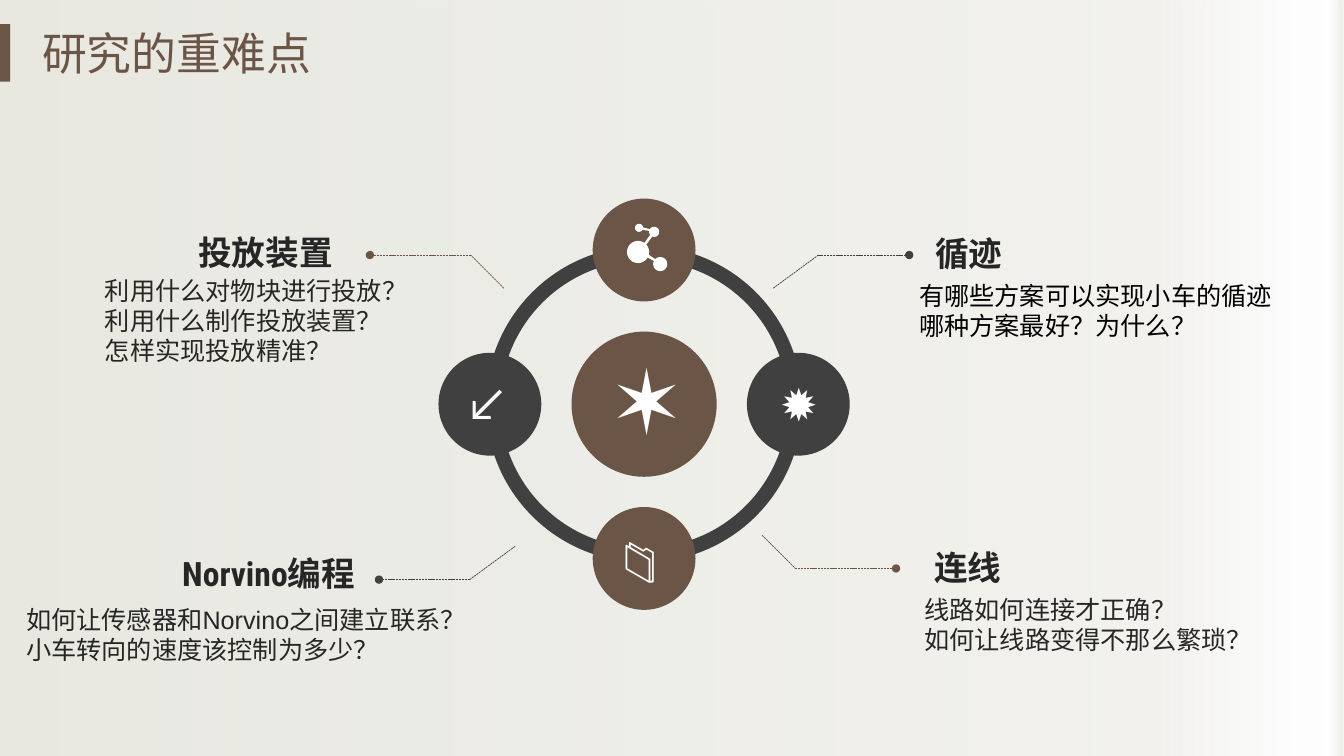
from dataclasses import dataclass
from math import cos, radians, sin

from lxml.etree import SubElement
from pptx import Presentation
from pptx.dml.color import RGBColor
from pptx.enum.dml import MSO_LINE
from pptx.enum.shapes import MSO_CONNECTOR, MSO_SHAPE
from pptx.enum.text import MSO_ANCHOR, MSO_AUTO_SIZE, PP_ALIGN
from pptx.oxml.ns import qn
from pptx.util import Pt

PX = 9144


@dataclass(frozen=True)
class Theme:
    brown: str = "6A5546"
    dark: str = "404040"
    ink: str = "262626"
    black: str = "000000"
    white: str = "FFFFFF"
    backdrop: tuple = ((0, "E7E7DF", 94), (86, "F0EFEB", 85), (99, "FFFFFF", 62), (100, "EBEBE5", 100))
    cjk: str = "Noto Sans CJK SC"
    heading_font: str = "Roboto Condensed"
    body_font: str = "Arial"
    icon_font: str = "Lato"
    title: int = 32
    heading: int = 24
    body: int = 18
    icon: int = 32
    big_icon: int = 64


class Board:
    def __init__(self, slide, theme):
        self.slide = slide
        self.theme = theme

    def paint(self, shape, colour):
        shape.shadow.inherit = False
        shape.line.fill.background()
        shape.fill.solid()
        shape.fill.fore_color.rgb = RGBColor.from_string(colour)

    def shape(self, kind, box, colour, adjustments=()):
        shape = self.slide.shapes.add_shape(kind, *(n * PX for n in box))
        self.paint(shape, colour)
        for index, value in enumerate(adjustments):
            shape.adjustments[index] = value
        return shape

    def backdrop(self, box):
        shape = self.shape(MSO_SHAPE.RECTANGLE, box, self.theme.white)
        shape.fill.gradient()
        shape.fill.gradient_angle = 0
        stops = shape.element.spPr.find(qn("a:gradFill")).find(qn("a:gsLst"))
        for stop in list(stops):
            stops.remove(stop)
        for position, colour, opacity in self.theme.backdrop:
            stop = SubElement(stops, qn("a:gs"), pos=str(position * 1000))
            tint = SubElement(stop, qn("a:srgbClr"), val=colour)
            SubElement(tint, qn("a:alpha"), val=str(opacity * 1000))

    def disc(self, centre, diameter, colour):
        x, y = centre
        box = (x - diameter // 2, y - diameter // 2, diameter, diameter)
        self.shape(MSO_SHAPE.OVAL, box, colour)

    def arc_outline(self, arcs, colour, steps=24):
        points = []
        for x, y, radius, start, end in arcs:
            for step in range(steps + 1):
                angle = radians(start + (end - start) * step / steps)
                points.append(((x + radius * cos(angle)) * PX, (y + radius * sin(angle)) * PX))
        builder = self.slide.shapes.build_freeform(*points[0])
        builder.add_line_segments(points[1:], close=True)
        self.paint(builder.convert_to_shape(), colour)

    def line(self, start, end, colour, dot=False):
        line = self.slide.shapes.add_connector(
            MSO_CONNECTOR.STRAIGHT, *(n * PX for n in (*start, *end)))
        line.line.color.rgb = RGBColor.from_string(colour)
        line.line.width = Pt(0.5)
        line.line.dash_style = MSO_LINE.SQUARE_DOT
        properties = line._element.spPr
        if dot:
            SubElement(properties.find(qn("a:ln")), qn("a:tailEnd"), type="oval")
        SubElement(properties, qn("a:effectLst"))

    def text(self, box, lines, font, size, colour, bold=False, align=PP_ALIGN.LEFT,
             anchor=MSO_ANCHOR.TOP, insets=(10, 5, 10, 5), wrap=True, cjk=True):
        frame = self.slide.shapes.add_textbox(*(n * PX for n in box)).text_frame
        frame.word_wrap = wrap
        frame.auto_size = MSO_AUTO_SIZE.NONE
        frame.vertical_anchor = anchor
        (frame.margin_left, frame.margin_top,
         frame.margin_right, frame.margin_bottom) = (n * PX for n in insets)
        for index, words in enumerate(lines):
            paragraph = frame.add_paragraph() if index else frame.paragraphs[0]
            paragraph.alignment = align
            run = paragraph.add_run()
            run.text = words
            run.font.name = font
            run.font.size = Pt(size)
            run.font.bold = bold
            run.font.color.rgb = RGBColor.from_string(colour)
            if cjk:
                SubElement(run.font._element, qn("a:ea"), typeface=self.theme.cjk)

    def icon(self, box, symbol, size):
        self.text(box, [symbol], self.theme.icon_font, size, self.theme.white, wrap=False, cjk=False)

    def heading(self, box, words, font, align):
        self.text(box, [words], font, self.theme.heading, self.theme.ink,
                  bold=True, align=align, anchor=MSO_ANCHOR.MIDDLE)

    def body(self, box, lines, **options):
        style = {"font": self.theme.body_font, "colour": self.theme.ink, **options}
        self.text(box, lines, size=self.theme.body, **style)


def main():
    deck = Presentation()
    deck.slide_width, deck.slide_height = 12192000, 750 * PX
    theme = Theme()
    board = Board(deck.slides.add_slide(deck.slide_layouts[6]), theme)

    board.backdrop((0, 0, 1333, 750))
    board.shape(MSO_SHAPE.RECTANGLE, (0, 24, 10, 57), theme.brown)

    for start, end in ((108, 162), (54, 108), (0, 54), (162, 0)):
        board.shape(MSO_SHAPE.BLOCK_ARC, (482, 244, 314, 314), theme.dark, (start, end, 0.046))

    hub_x, hub_y, orbit = 639, 401, 153
    board.disc((hub_x, hub_y), 144, theme.brown)
    for across, down, colour in ((0, -1, theme.brown), (1, 0, theme.dark),
                                 (0, 1, theme.brown), (-1, 0, theme.dark)):
        board.disc((hub_x + across * orbit, hub_y + down * orbit), 102, colour)

    board.icon((456, 367, 68, 64), "↙", theme.icon)
    board.icon((764, 369, 65, 64), "✹", theme.icon)
    board.icon((609, 522, 68, 64), "📁", theme.icon)
    board.icon((595, 337, 97, 118), "✶", theme.big_icon)

    leaders = (
        ((767, 286), (812, 253), (902, 253), theme.dark),
        ((756, 531), (789, 564), (889, 564), theme.brown),
        ((500, 286), (467, 253), (367, 253), theme.brown),
        ((511, 542), (466, 575), (376, 575), theme.dark),
    )
    for ring_end, bend, label_end, colour in leaders:
        board.line(ring_end, bend, colour)
        board.line(bend, label_end, colour, dot=True)

    molecule = (
        (633, 250, 11, 15, -42),
        (649, 230, 5, 112, -148),
        (634, 226, 4, -5, -330),
        (649, 230, 5, 190, 143),
        (633, 250, 11, -55, -330),
        (655, 262, 7, 206, -135),
    )
    board.arc_outline(molecule, theme.white)

    board.body((917, 605, 314, 59), ["线路如何连接才正确？", "如何让线路变得不那么繁琐？"],
               anchor=MSO_ANCHOR.MIDDLE, insets=(0, 5, 10, 35))
    board.heading((917, 547, 231, 31), "连线", theme.heading_font, PP_ALIGN.LEFT)
    board.heading((918, 236, 231, 31), "循迹", theme.cjk, PP_ALIGN.LEFT)
    board.body((26, 599, 420, 91), ["如何让传感器和Norvino之间建立联系？", "小车转向的速度该控制为多少？"],
               insets=(0, 0, 0, 0))
    board.heading((110, 554, 252, 29), "Norvino编程", theme.heading_font, PP_ALIGN.RIGHT)
    board.body((104, 273, 310, 91), ["利用什么对物块进行投放？利用什么制作投放装置？", "怎样实现投放精准？"],
               insets=(0, 0, 0, 0))
    board.text((32, 21, 335, 64), ["研究的重难点"], theme.heading_font, theme.title,
               theme.brown, align=PP_ALIGN.JUSTIFY)
    board.heading((88, 236, 252, 29), "投放装置", theme.cjk, PP_ALIGN.RIGHT)
    board.body((902, 273, 382, 71), ["有哪些方案可以实现小车的循迹", "哪种方案最好？为什么？"],
               font=theme.cjk, colour=theme.black)

    deck.save("out.pptx")


if __name__ == "__main__":
    main()
